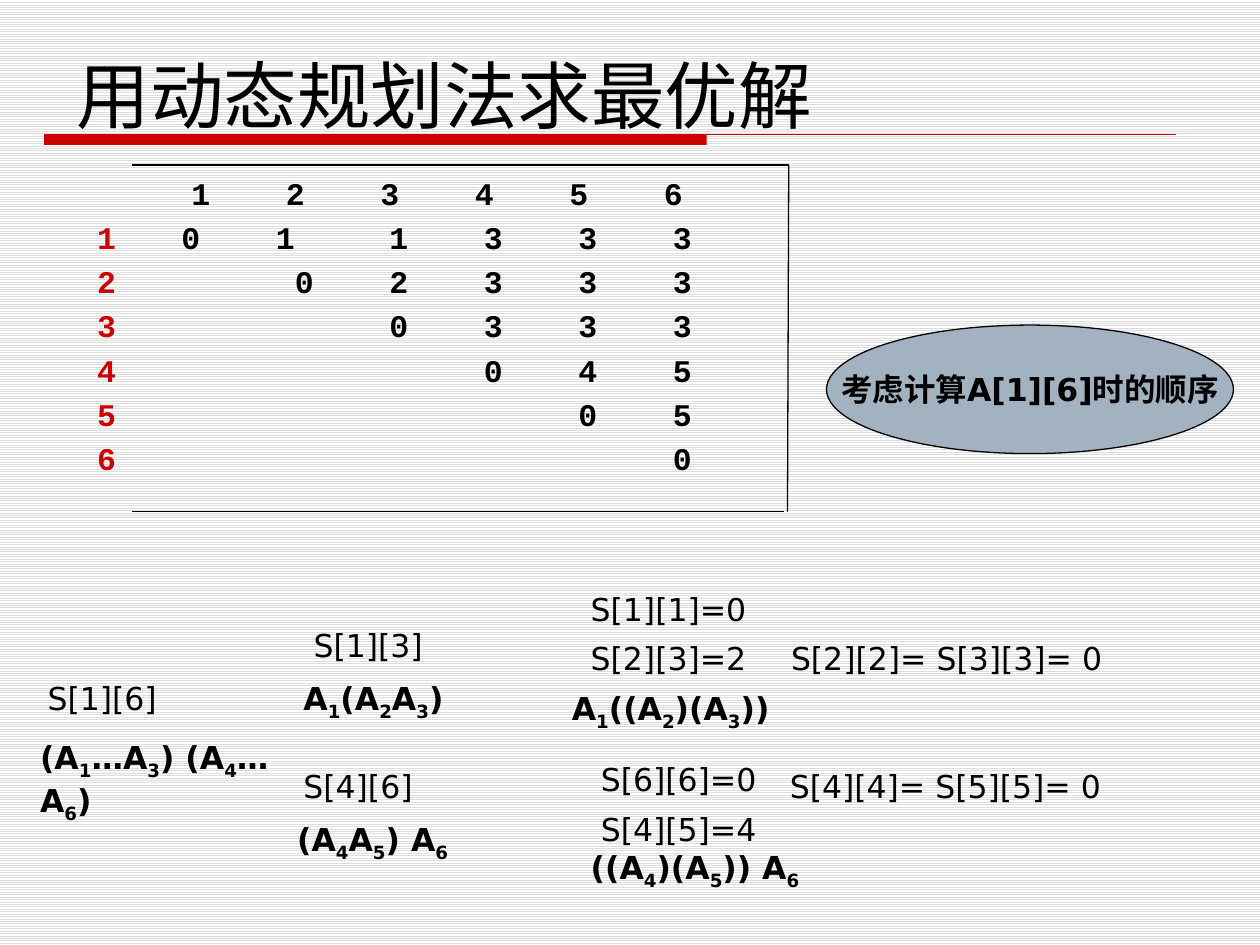
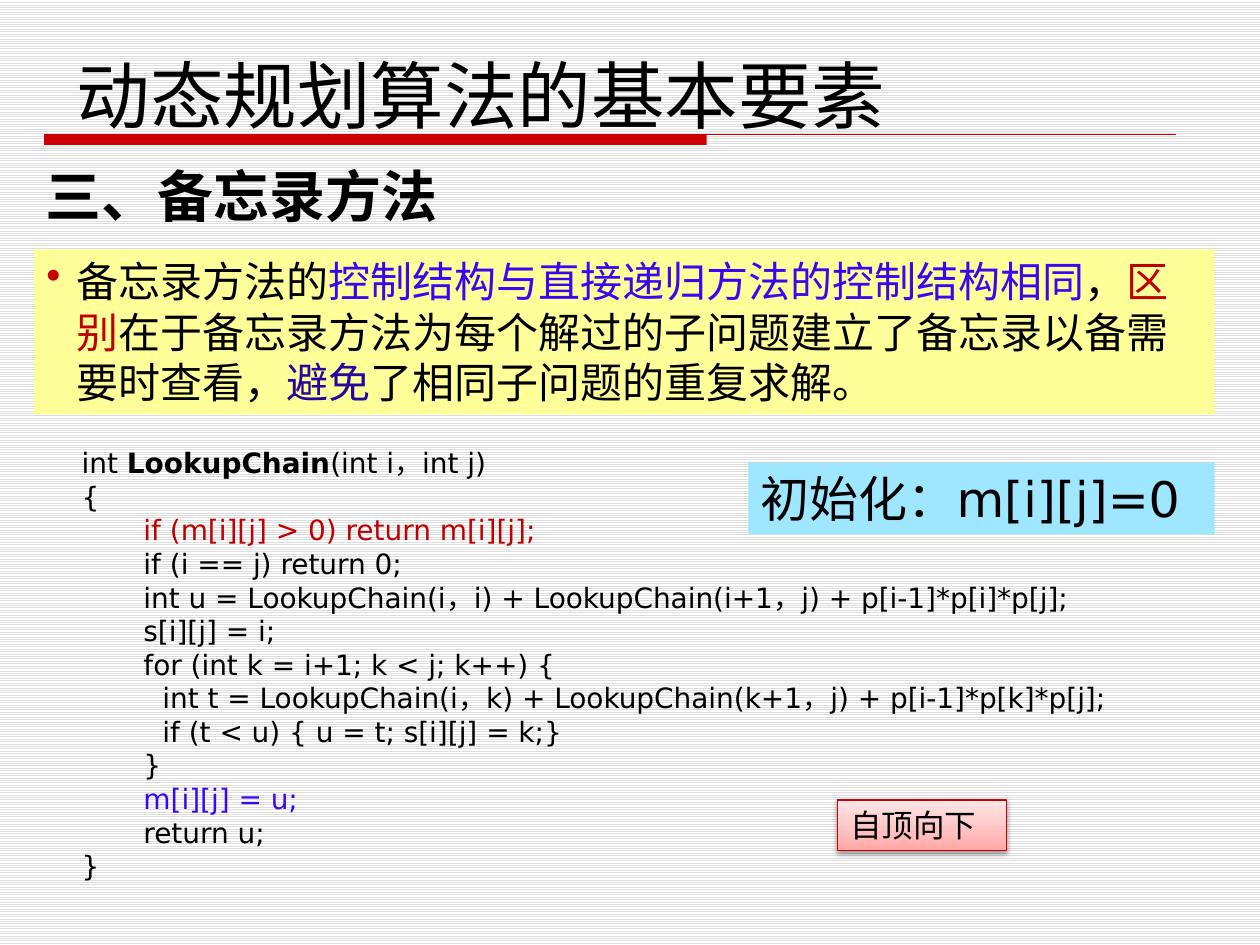
from itertools import groupby

from lxml import etree
from pptx import Presentation
from pptx import util as u
from pptx.dml.color import RGBColor
from pptx.enum import dml, lang, shapes, text
from pptx.oxml import ns

BLACK = RGBColor(0x00, 0x00, 0x00)
WHITE = RGBColor(0xFF, 0xFF, 0xFF)
STRIPE = RGBColor(0xDD, 0xDD, 0xDD)
RED = RGBColor(0xCC, 0x00, 0x00)
DARK_RED = RGBColor(0xC0, 0x00, 0x00)
BORDER_RED = RGBColor(0xC8, 0x00, 0x00)
VIOLET = RGBColor(0x39, 0x07, 0xF1)
INDIGO = RGBColor(0x26, 0x05, 0xA1)
STEEL = RGBColor(0xA3, 0xB2, 0xC1)
YELLOW = RGBColor(0xFF, 0xFF, 0x99)
SKY = RGBColor(0x9F, 0xE6, 0xFF)
PINKS = [
    (0, RGBColor(0xFF, 0xA5, 0xA5)),
    (35, RGBColor(0xFF, 0xBF, 0xBF)),
    (100, RGBColor(0xFF, 0xE7, 0xE7)),
]

SANS, MONO, SERIF = "DejaVu Sans", "Courier New", "Times New Roman"
PLAIN_TABLE = "{2D5ABB26-0587-4C30-8999-92F81FD0307C}"

SPLITS = [
    [0, 1, 1, 3, 3, 3],
    [0, 2, 3, 3, 3],
    [0, 3, 3, 3],
    [0, 4, 5],
    [0, 5],
    [0],
]

STEPS = [
    (0.28, 5.34, 1.27, "S[1][6]"),
    (2.39, 4.92, 1.25, "S[1][3]"),
    (2.31, 6.04, 1.25, "S[4][6]"),
    (4.59, 4.63, 1.57, "S[1][1]=0"),
    (4.59, 5.02, 1.57, "S[2][3]=2"),
    (6.18, 5.02, 3.07, "S[2][2]= S[3][3]= 0"),
    (4.67, 5.98, 1.57, "S[6][6]=0"),
    (4.67, 6.38, 1.57, "S[4][5]=4"),
    (6.17, 6.04, 3.07, "S[4][4]= S[5][5]= 0"),
]

GROUPINGS = [
    (0.22, 5.81, 2.36, "(A1…A3) (A4…A6)"),
    (2.31, 5.34, 1.48, "A1(A2A3)"),
    (2.26, 6.46, 1.72, "(A4A5) A6"),
    (4.44, 5.42, 2.13, "A1((A2)(A3))"),
    (4.59, 6.68, 2.13, "((A4)(A5)) A6"),
]

MEMO_RULE = [
    ("备忘录方法的", {}),
    ("控制结构与直接递归方法的控制结构相同", {"color": VIOLET}),
    ("，", {}),
    ("区别", {"color": DARK_RED}),
    ("在于备忘录方法为每个解过的子问题建立了备忘录以备需要时查看，", {}),
    ("避免", {"color": INDIGO}),
    ("了相同子问题的重复求解。", {}),
]

CODE_INDENTS = [0, 0.49, 0.64]
CODE = [
    (0, [("int ", {}), ("LookupChain", {"bold": True}), ("(int i，int j)", {})]),
    (0, "{"),
    (1, [("if (m[i][j] > 0) return m[i][j];", {"color": DARK_RED})]),
    (1, "if (i == j) return 0;"),
    (1, "int u = LookupChain(i，i) + LookupChain(i+1，j) + p[i-1]*p[i]*p[j];"),
    (1, "s[i][j] = i;"),
    (1, "for (int k = i+1; k < j; k++) {"),
    (2, "int t = LookupChain(i，k) + LookupChain(k+1，j) + p[i-1]*p[k]*p[j];"),
    (2, "if (t < u) { u = t; s[i][j] = k;}"),
    (1, "}"),
    (1, [("m[i][j] = u;", {"color": VIOLET})]),
    (1, "return u;"),
    (0, "}"),
]


def add_xml(parent, tag, **attributes):
    child = etree.SubElement(parent, ns.qn(tag))
    for name, value in attributes.items():
        child.set(name, str(value))
    return child


def subscripted(formula):
    return [
        ("".join(symbols), {"subscript": is_digit})
        for is_digit, symbols in groupby(formula, str.isdigit)
    ]


class SlideWriter:
    def __init__(self):
        self.deck = Presentation()
        self.deck.slide_width = u.Inches(10)
        self.deck.slide_height = u.Inches(7.5)
        self.page = None
        fill = self.deck.slide_master.background.fill
        fill.patterned()
        fill.pattern = dml.MSO_PATTERN.LIGHT_HORIZONTAL
        fill.fore_color.rgb = STRIPE
        fill.back_color.rgb = WHITE

    def new_page(self, title, title_width):
        self.page = self.deck.slides.add_slide(self.deck.slide_layouts[6])
        self.shape((0.35, 1.07, 5.26, 0.08), fill=RED)
        self.line((0.35, 1.07), (9.33, 1.07), RED)
        self.text((0.51, 0.28, title_width, 0.87), title, size=42, name=SERIF,
                  anchor=text.MSO_ANCHOR.BOTTOM)

    def line(self, start, end, color=BLACK):
        points = [u.Inches(value) for value in (*start, *end)]
        line = self.page.shapes.add_connector(shapes.MSO_CONNECTOR.STRAIGHT, *points)
        line.line.color.rgb = color
        line.line.width = u.Pt(0.75)
        add_xml(line._element.spPr, "a:effectLst")

    def shape(self, at, fill, border=None, kind=shapes.MSO_SHAPE.RECTANGLE):
        shape = self.page.shapes.add_shape(kind, *map(u.Inches, at))
        shape.shadow.inherit = False
        if isinstance(fill, list):
            self.gradient(shape, fill)
        else:
            shape.fill.solid()
            shape.fill.fore_color.rgb = fill
        if border is None:
            shape.line.fill.background()
        else:
            shape.line.color.rgb = border
            shape.line.width = u.Pt(0.75)
        return shape

    def gradient(self, shape, stops):
        shape.fill.gradient()
        shape.fill.gradient_angle = 90
        stop_list = shape._element.spPr.find(".//" + ns.qn("a:gsLst"))
        for stop in list(stop_list):
            stop_list.remove(stop)
        for percent, color in stops:
            stop = add_xml(stop_list, "a:gs", pos=percent * 1000)
            add_xml(stop, "a:srgbClr", val=color)

    def drop_shadow(self, shape):
        effects = shape._element.spPr.find(ns.qn("a:effectLst"))
        shadow = add_xml(effects, "a:outerShdw", blurRad=u.Pt(3.1), dist=u.Pt(1.6),
                         dir=5400000, rotWithShape=0)
        color = add_xml(shadow, "a:srgbClr", val=BLACK)
        add_xml(color, "a:alpha", val=38000)

    def text(self, at, *paragraphs, shape=None, anchor=text.MSO_ANCHOR.TOP,
             wrap=True, align=text.PP_ALIGN.LEFT, **style):
        box = shape or self.page.shapes.add_textbox(*map(u.Inches, at))
        frame = box.text_frame
        frame.word_wrap = wrap
        frame.vertical_anchor = anchor
        for index, spans in enumerate(paragraphs):
            para = frame.add_paragraph() if index else frame.paragraphs[0]
            para.alignment = align
            self.spans(para, spans, **style)
        return frame

    def label(self, at, *paragraphs, fill, border=None,
              kind=shapes.MSO_SHAPE.RECTANGLE, **options):
        shape = self.shape(at, fill, border, kind)
        self.text(at, *paragraphs, shape=shape, **options)
        return shape

    def spans(self, para, spans, **style):
        if isinstance(spans, str):
            spans = [(spans, {})]
        for words, changes in spans:
            span = para.add_run()
            span.text = words
            self.style(span.font, **{**style, **changes})

    def style(self, font, size=18, name=SANS, color=BLACK, bold=False,
              subscript=False):
        font.name = name
        font.size = u.Pt(size)
        font.bold = bold
        font.color.rgb = color
        font.language_id = lang.MSO_LANGUAGE_ID.SIMPLIFIED_CHINESE
        if subscript:
            font._element.set("baseline", "-25000")

    def indent(self, para, left, first=0):
        properties = para._p.get_or_add_pPr()
        properties.set("marL", str(u.Inches(left)))
        properties.set("indent", str(u.Inches(first)))
        return properties

    def bullet(self, para, width, color):
        properties = self.indent(para, width, -width)
        add_xml(add_xml(properties, "a:buClr"), "a:srgbClr", val=color)
        add_xml(properties, "a:buChar", char="•")

    def split_table(self, left, top, splits):
        count = len(splits) + 1
        head_width, pitch, height = 0.67, 0.75, 0.35
        frame = self.page.shapes.add_table(
            count, count, u.Inches(left), u.Inches(top),
            u.Inches(head_width + pitch * (count - 1)), u.Inches(height * count))
        frame._element.find(".//" + ns.qn("a:tableStyleId")).text = PLAIN_TABLE
        table = frame.table
        table.first_row = table.horz_banding = False
        for index in range(count):
            table.rows[index].height = u.Inches(height)
            table.columns[index].width = u.Inches(pitch if index else head_width)
        for row in range(count):
            for column in range(count):
                cell = table.cell(row, column)
                cell.fill.background()
                cell.margin_left = cell.margin_right = 0
                cell.margin_top = cell.margin_bottom = 0
                cell.vertical_anchor = text.MSO_ANCHOR.MIDDLE
                if column and not (row == 1 and column < 3):
                    cell.margin_left = u.Inches(0.15 if row else 0.08)
                if row == 0:
                    value = column or ""
                elif column == 0:
                    value = row
                else:
                    value = splits[row - 1][column - row] if column >= row else ""
                if value != "":
                    color = BLACK if column else RED
                    self.spans(cell.text_frame.paragraphs[0], str(value),
                               name=MONO, bold=True, color=color)


def optimal_solution(writer):
    writer.new_page("用动态规划法求最优解", 6.16)
    writer.split_table(0.77, 1.39, SPLITS)
    writer.line((1.05, 1.31), (6.26, 1.31))
    writer.line((6.26, 1.31), (6.25, 4.06))
    writer.line((6.22, 4.06), (1.05, 4.06))
    writer.label((6.56, 2.58, 3.23, 1.02), "考虑计算A[1][6]时的顺序",
                 fill=STEEL, border=BLACK, kind=shapes.MSO_SHAPE.OVAL, bold=True,
                 wrap=False, anchor=text.MSO_ANCHOR.MIDDLE,
                 align=text.PP_ALIGN.CENTER)
    for left, top, width, step in STEPS:
        writer.text((left, top, width, 0.4), step)
    for left, top, width, formula in GROUPINGS:
        writer.text((left, top, width, 0.4), subscripted(formula), bold=True)


def memo_method(writer):
    writer.new_page("动态规划算法的基本要素", 7.01)
    writer.text((0.26, 1.23, 3.32, 0.63), "三、备忘录方法", size=32, bold=True,
                wrap=False, align=text.PP_ALIGN.CENTER)
    rule = writer.label((0.27, 1.98, 9.37, 1.31), MEMO_RULE, fill=YELLOW, size=24)
    writer.bullet(rule.text_frame.paragraphs[0], 0.24, RED)
    code = writer.text((0.55, 3.47, 8.81, 3.6), *(spans for _, spans in CODE),
                       size=16, anchor=text.MSO_ANCHOR.MIDDLE)
    for para, (level, _) in zip(code.paragraphs, CODE):
        para.line_spacing = u.Pt(19.2)
        writer.indent(para, CODE_INDENTS[level])
    writer.label((5.94, 3.67, 3.7, 0.57), "初始化：m[i][j]=0", fill=SKY, size=28)
    direction = writer.label((6.65, 6.35, 1.34, 0.4), "自顶向下", fill=PINKS,
                             border=BORDER_RED, name=MONO)
    writer.drop_shadow(direction)


def main():
    writer = SlideWriter()
    optimal_solution(writer)
    memo_method(writer)
    writer.deck.save("out.pptx")


if __name__ == "__main__":
    main()
